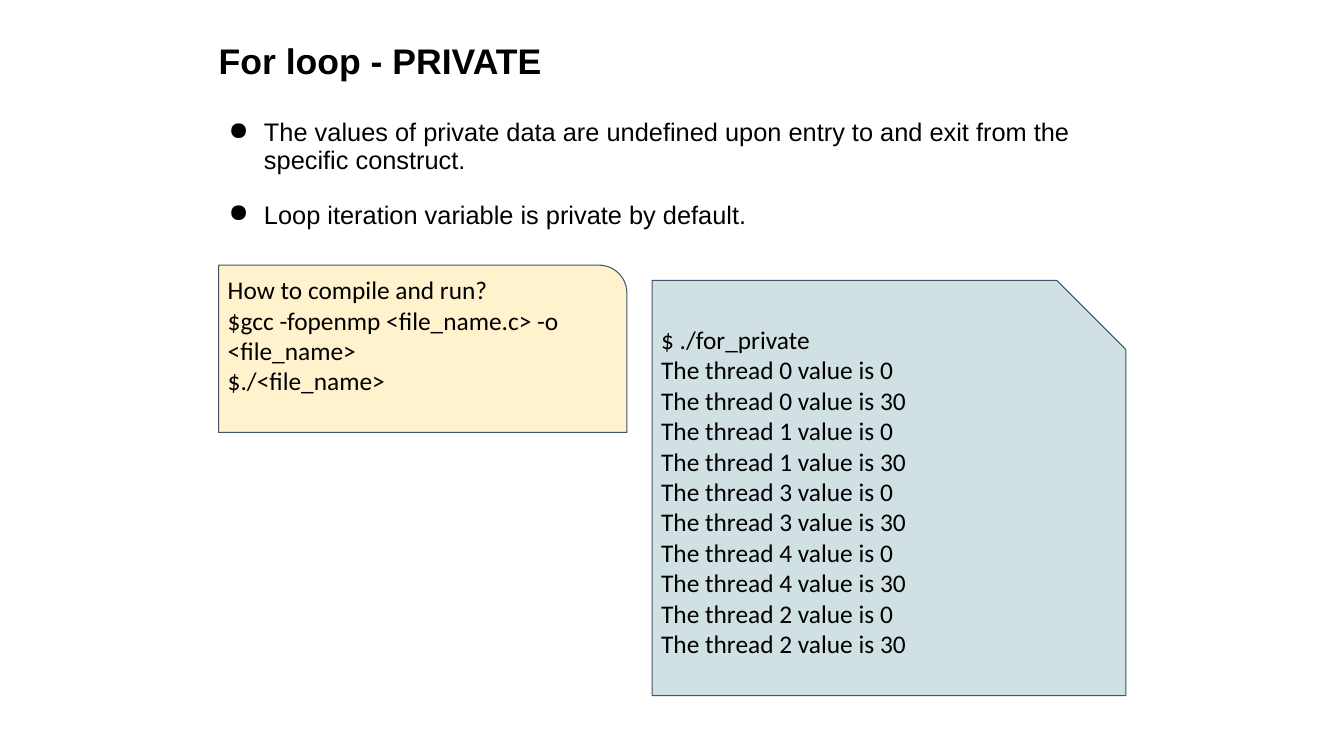
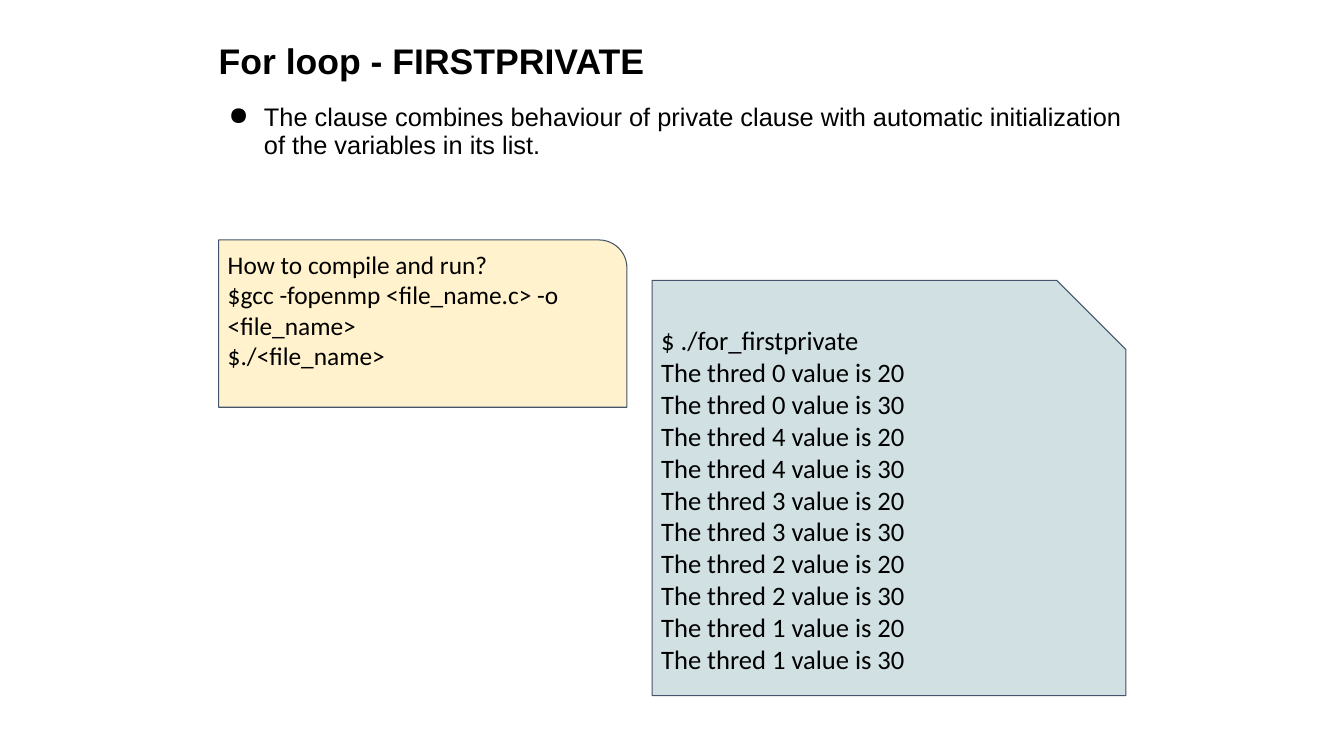
from dataclasses import dataclass

import pptx
import pptx.dml.color
import pptx.enum.shapes
import pptx.enum.text
import pptx.oxml
import pptx.oxml.ns
import pptx.util

Pt = pptx.util.Pt
Shape = pptx.enum.shapes.MSO_SHAPE
Anchor = pptx.enum.text.MSO_ANCHOR

HUES = {"text": "000000", "cream": "FFF2CC", "mist": "D0E0E3", "edge": "44546A"}
LEFT, WIDE = 156.2, 648
SIZE = 18.1
STEPS = [
    "How to compile and run?",
    "$gcc -fopenmp <file_name.c> -o <file_name>",
    "$./<file_name>",
]


@dataclass
class Card:
    kind: Shape
    left: float
    top: float
    width: float
    height: float
    fill: str
    lines: list[str]
    size: float = SIZE


@dataclass
class Page:
    title: str
    points: list[str]
    top: float
    cards: list[Card]


def steps(top: float) -> Card:
    return Card(Shape.ROUND_1_RECTANGLE, LEFT, top, 291.6, 119.5, "cream", STEPS)


def result(name: str, word: str, start: int, order: list[int], size: float = SIZE) -> Card:
    lines = [f"$ ./{name}"]
    lines += [f"The {word} {num} value is {val}" for num in order for val in (start, 30)]
    return Card(Shape.SNIP_1_RECTANGLE, 465.8, 200.2, 338.4, 296.6, "mist", lines, size)


PAGES = [
    Page(
        "For loop - PRIVATE",
        [
            "The values of private data are undefined upon entry to and exit from the specific construct.",
            "Loop iteration variable is private by default.",
        ],
        85.7,
        [steps(189.4), result("for_private", "thread", 0, [0, 1, 3, 4, 2])],
    ),
    Page(
        "For loop - FIRSTPRIVATE",
        [
            "The clause combines behaviour of private clause with automatic initialization "
            "of the variables in its list.",
        ],
        74.9,
        [steps(171.4), result("for_firstprivate", "thred", 20, [0, 4, 3, 2, 1], 19)],
    ),
]


def color(name: str) -> pptx.dml.color.RGBColor:
    return pptx.dml.color.RGBColor.from_string(HUES[name])


def frame(box, anchor: Anchor, inset: float) -> None:
    text = box.text_frame
    text.word_wrap = True
    text.auto_size = pptx.enum.text.MSO_AUTO_SIZE.NONE
    text.vertical_anchor = anchor
    text.margin_left = text.margin_right = Pt(inset)
    text.margin_top = text.margin_bottom = Pt(inset)


def style(box, face: str, size: float, bold: bool = False, space: float = 1.0) -> None:
    for para in box.text_frame.paragraphs:
        para.alignment = pptx.enum.text.PP_ALIGN.LEFT
        para.line_spacing = space
        for run in para.runs:
            run.font.name = face
            run.font.size = Pt(size)
            run.font.bold = bold
            run.font.color.rgb = color("text")


def bullet(para) -> None:
    props = para._p.get_or_add_pPr()
    props.set("marL", str(Pt(32.4)))
    props.set("indent", str(Pt(-25.2)))
    space = pptx.oxml.ns.nsdecls("a")
    for tag in (
        f'<a:buClr {space}><a:srgbClr val="{HUES["text"]}"/></a:buClr>',
        f'<a:buChar {space} char="●"/>',
    ):
        props.append(pptx.oxml.parse_xml(tag))


def add_title(slide, text: str) -> None:
    box = slide.shapes.title
    box.left, box.top, box.width, box.height = Pt(LEFT), Pt(21.6), Pt(WIDE), Pt(46.1)
    frame(box, Anchor.MIDDLE, 0)
    box.text_frame.text = text
    style(box, "Arial", 25.4, True, 0.9)


def add_points(slide, points: list[str], top: float) -> None:
    box = slide.shapes.add_textbox(Pt(LEFT), Pt(top), Pt(WIDE), Pt(429.1))
    frame(box, Anchor.TOP, 0)
    box.text_frame.text = "\n".join(points)
    for spot, para in enumerate(box.text_frame.paragraphs):
        bullet(para)
        if spot:
            para.space_before = Pt(20)
    style(box, "Arial", SIZE, space=0.9)


def add_card(slide, card: Card) -> None:
    box = slide.shapes.add_shape(
        card.kind, Pt(card.left), Pt(card.top), Pt(card.width), Pt(card.height)
    )
    box.shadow.inherit = False
    box.fill.solid()
    box.fill.fore_color.rgb = color(card.fill)
    box.line.color.rgb = color("edge")
    box.line.width = Pt(0.75)
    frame(box, Anchor.TOP, 6.5)
    box.text_frame.text = "\n".join(card.lines)
    style(box, "Calibri", card.size)


def main() -> None:
    deck = pptx.Presentation()
    deck.slide_width, deck.slide_height = Pt(960), Pt(540)
    for page in PAGES:
        slide = deck.slides.add_slide(deck.slide_layouts[5])
        add_title(slide, page.title)
        add_points(slide, page.points, page.top)
        for card in page.cards:
            add_card(slide, card)
    deck.save("out.pptx")


if __name__ == "__main__":
    main()
